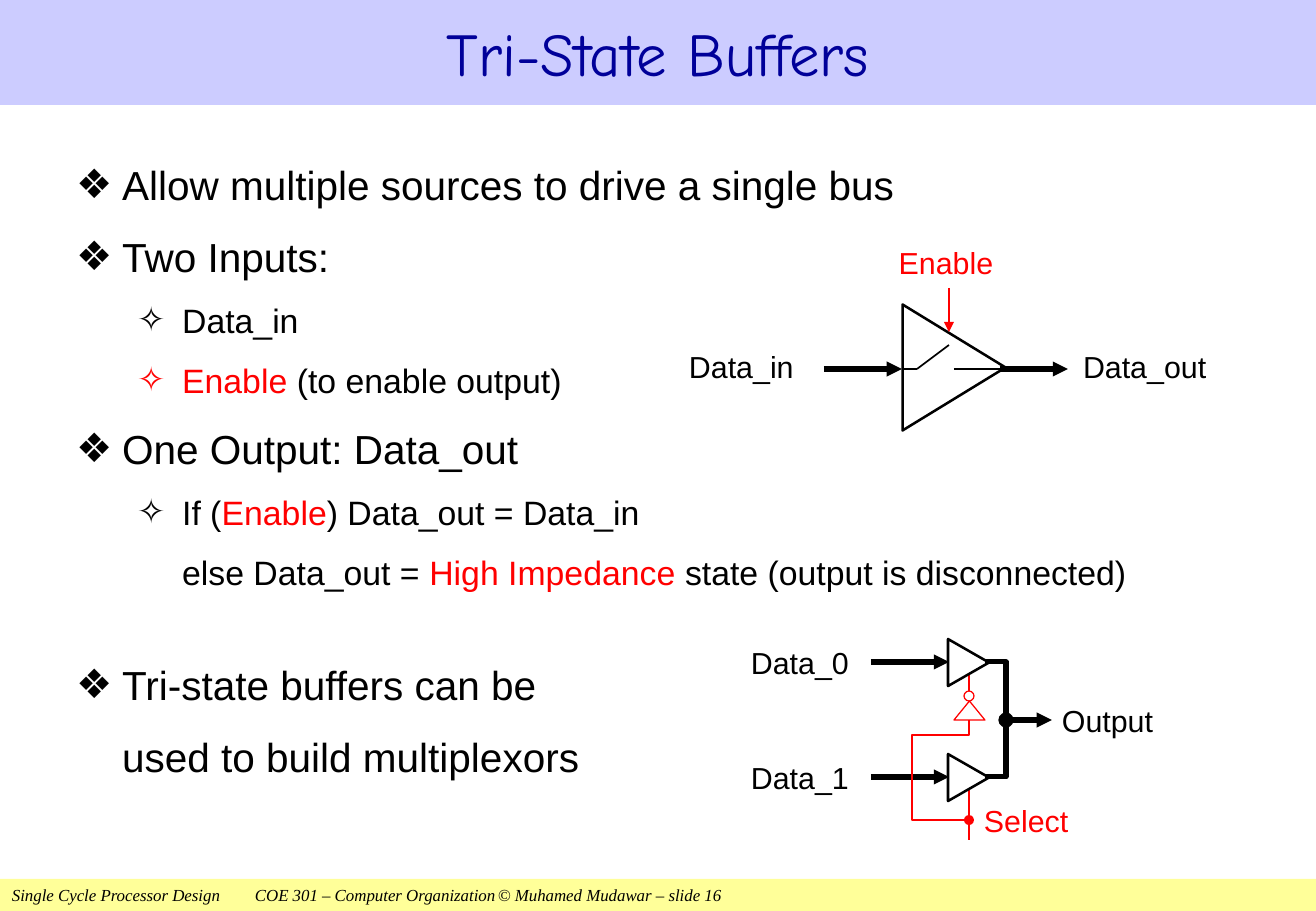
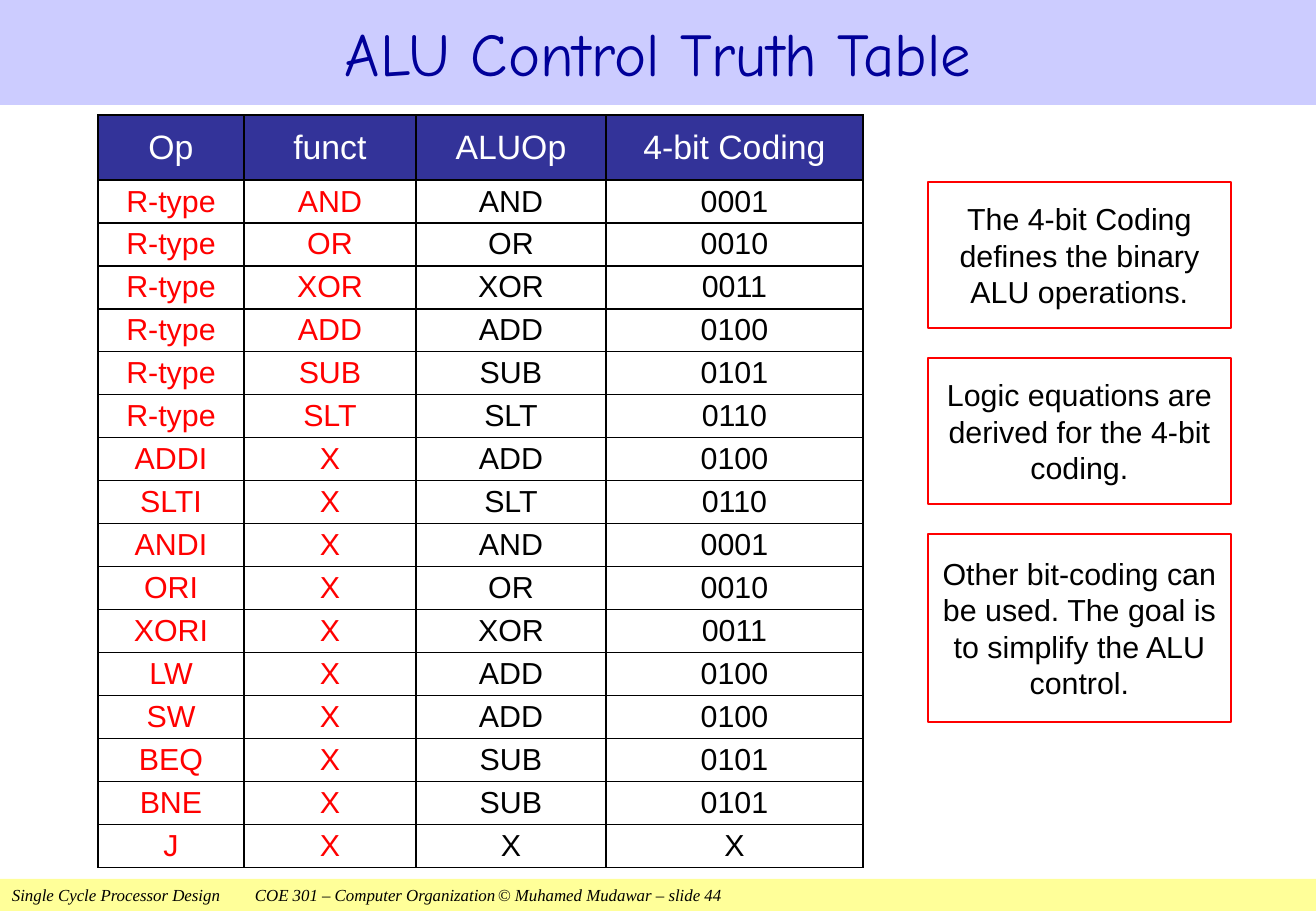
"""Build two processor design slides: tri-state buffers and the ALU control truth table."""
from lxml import etree
from pptx import Presentation
from pptx.dml.color import RGBColor
from pptx.enum.shapes import MSO_CONNECTOR, MSO_SHAPE
from pptx.enum.text import MSO_ANCHOR, MSO_AUTO_SIZE, PP_ALIGN
from pptx.oxml.ns import qn
from pptx.util import Pt

PX = 7526
WIDTH, HEIGHT = 1316, 911
LEFT, CENTER = PP_ALIGN.LEFT, PP_ALIGN.CENTER
MIDDLE, NO_FIT = MSO_ANCHOR.MIDDLE, MSO_AUTO_SIZE.NONE
STRAIGHT = MSO_CONNECTOR.STRAIGHT
RECTANGLE, TRIANGLE, OVAL = MSO_SHAPE.RECTANGLE, MSO_SHAPE.ISOSCELES_TRIANGLE, MSO_SHAPE.OVAL
COLORS = {
    "ink": "000000", "red": "FF0000", "white": "FFFFFF", "navy": "000099",
    "title band": "CCCCFF", "footer band": "FFFF99", "header": "333399",
}
RGB = {name: RGBColor.from_string(value) for name, value in COLORS.items()}


def write(frame, text, size=18, color="ink", font="Arial", italic=False, align=LEFT, first=True):
    """Write one paragraph; parts between asterisks are red."""
    paragraph = frame.paragraphs[0] if first else frame.add_paragraph()
    paragraph.alignment = align
    for position, part in enumerate(text.split("*")):
        if part:
            run = paragraph.add_run()
            run.text = part
            run.font.size, run.font.name, run.font.italic = Pt(size), font, italic
            run.font.color.rgb = RGB["red" if position % 2 else color]
    return paragraph


def stroke(shape, color, width, head=None, tail=None):
    """Outline a shape or connector, with optional line ends and no shadow."""
    shape.line.color.rgb = RGB[color]
    shape.line.width = Pt(width)
    properties = shape._element.spPr
    outline = properties.find(qn("a:ln"))
    for tag, end in (("a:headEnd", head), ("a:tailEnd", tail)):
        if end:
            etree.SubElement(outline, qn(tag), type=end)
    etree.SubElement(properties, qn("a:effectLst"))


deck = Presentation()
deck.slide_width, deck.slide_height = WIDTH * PX, HEIGHT * PX
buffers = deck.slides.add_slide(deck.slide_layouts[1])
truth = deck.slides.add_slide(deck.slide_layouts[5])

for slide, heading, number in (
    (buffers, "Tri-State Buffers", 16),
    (truth, "ALU Control Truth Table", 44),
):
    title = slide.shapes.title
    title.left, title.top, title.width, title.height = 0, 0, WIDTH * PX, 105 * PX
    title.fill.solid()
    title.fill.fore_color.rgb = RGB["title band"]
    title.text_frame.auto_size = NO_FIT
    title.text_frame.vertical_anchor = MIDDLE
    write(title.text_frame, heading, size=36, color="navy", font="Comic Neue", align=CENTER)

    footer = slide.shapes.add_shape(RECTANGLE, 0, 879 * PX, WIDTH * PX, 32 * PX)
    footer.shadow.inherit = False
    footer.fill.solid()
    footer.fill.fore_color.rgb = RGB["footer band"]
    footer.line.fill.background()
    footer.text_frame.vertical_anchor = MIDDLE
    credit = write(
        footer.text_frame,
        "Single Cycle Processor Design\tCOE 301 – Computer Organization\t"
        f"© Muhamed Mudawar – slide {number}",
        size=10, font="Times New Roman", italic=True,
    )
    tabs = etree.SubElement(credit._p.get_or_add_pPr(), qn("a:tabLst"))
    for stop in (243, 486):
        etree.SubElement(tabs, qn("a:tab"), pos=str(stop * PX), algn="l")

points = buffers.placeholders[1]
points.left, points.top, points.width, points.height = 64 * PX, 149 * PX, 1185 * PX, 683 * PX
points.text_frame.auto_size = NO_FIT
LEVELS = ((24, 46, 46, "❖", 11), (20, 106, 45, "✧", 9.2))
for order, (level, bulleted, text) in enumerate((
    (0, True, "Allow multiple sources to drive a single bus"),
    (0, True, "Two Inputs:"),
    (1, True, "Data_in"),
    (1, True, "*Enable *(to enable output)"),
    (0, True, "One Output: Data_out"),
    (1, True, "If (*Enable*) Data_out = Data_in"),
    (1, False, "else Data_out = *High Impedance *state (output is disconnected)"),
    (0, True, "Tri-state buffers can be"),
    (0, False, "used to build multiplexors"),
)):
    size, margin, hanging, bullet, gap = LEVELS[level]
    point = write(points.text_frame, text, size=size, first=order == 0)
    point.level = level
    layout = point._p.get_or_add_pPr()
    layout.set("marL", str(margin * PX))
    layout.set("indent", str(-hanging * PX if bulleted else 0))
    if bulleted:
        etree.SubElement(layout, qn("a:buChar"), char=bullet)
    else:
        etree.SubElement(layout, qn("a:buNone"))
    point.line_spacing = 1.1
    point.space_before = Pt(0 if order == 0 else 37 if text.startswith("Tri") else gap)

for x1, y1, x2, y2 in ((969, 787, 969, 840), (969, 672, 969, 691)):
    wire = buffers.shapes.add_connector(STRAIGHT, x1 * PX, y1 * PX, x2 * PX, y2 * PX)
    stroke(wire, "red", 0.75)

for kind, x, y, width, height, turn, color, weight in (
    (TRIANGLE, 891, 316, 126, 103, 90, "ink", 1.5),
    (TRIANGLE, 945, 642, 47, 41, 90, "ink", 1.5),
    (TRIANGLE, 945, 757, 47, 41, 90, "ink", 1.5),
    (TRIANGLE, 954, 701, 31, 19, 0, "red", 0.75),
    (OVAL, 964, 691, 10, 10, 0, "red", 0.75),
):
    gate = buffers.shapes.add_shape(kind, x * PX, y * PX, width * PX, height * PX)
    gate.rotation = turn
    gate.fill.solid()
    gate.fill.fore_color.rgb = RGB["white"]
    stroke(gate, color, weight)

for x1, y1, x2, y2, color, weight, head, tail in (
    (824, 369, 902, 369, "ink", 3, None, "triangle"),
    (1000, 369, 1068, 369, "ink", 3, None, "triangle"),
    (902, 369, 917, 369, "ink", 1, None, None),
    (917, 369, 949, 345, "ink", 1, None, None),
    (954, 369, 1005, 369, "ink", 1, None, None),
    (949, 288, 949, 332, "red", 0.75, None, "triangle"),
    (871, 662, 949, 662, "ink", 3, None, "triangle"),
    (871, 777, 949, 777, "ink", 3, None, "triangle"),
    (1006, 720, 1052, 720, "ink", 3, "oval", "triangle"),
):
    signal = buffers.shapes.add_connector(STRAIGHT, x1 * PX, y1 * PX, x2 * PX, y2 * PX)
    stroke(signal, color, weight, head=head, tail=tail)

for start, corners, color, weight, tail in (
    ((969, 720), ((969, 735), (912, 735), (912, 820), (969, 820)), "red", 0.75, "oval"),
    ((985, 662), ((1006, 662), (1006, 777), (985, 777)), "ink", 3, None),
):
    route = buffers.shapes.build_freeform(*start, scale=PX)
    route.add_line_segments(corners, close=False)
    bus = route.convert_to_shape()
    bus.fill.background()
    stroke(bus, color, weight, tail=tail)

for text, x, y, width, height, color, align in (
    ("Data_in", 689, 340, 140, 52, "ink", LEFT),
    ("Data_out", 1083, 340, 140, 52, "ink", LEFT),
    ("Enable", 876, 241, 140, 42, "red", CENTER),
    ("Data_0", 751, 639, 119, 47, "ink", LEFT),
    ("Data_1", 751, 754, 119, 47, "ink", LEFT),
    ("Output", 1062, 697, 119, 47, "ink", LEFT),
    ("Select", 984, 797, 119, 47, "red", LEFT),
):
    label = buffers.shapes.add_textbox(x * PX, y * PX, width * PX, height * PX).text_frame
    label.margin_left = label.margin_right = label.margin_top = label.margin_bottom = 0
    label.word_wrap = True
    label.vertical_anchor = MIDDLE
    write(label, text, color=color, align=align)

CODES = {"AND": "0001", "OR": "0010", "XOR": "0011", "ADD": "0100",
         "SUB": "0101", "SLT": "0110", "X": "X"}
IMMEDIATES = (
    ("ADDI", "ADD"), ("SLTI", "SLT"), ("ANDI", "AND"), ("ORI", "OR"), ("XORI", "XOR"),
    ("LW", "ADD"), ("SW", "ADD"), ("BEQ", "SUB"), ("BNE", "SUB"), ("J", "X"),
)
rows = [("Op", "funct", "ALUOp", "4-bit Coding")]
rows += [("R-type", name, name, code) for name, code in CODES.items() if name != "X"]
rows += [(op, "X", name, CODES[name]) for op, name in IMMEDIATES]
column_widths = (146, 172, 190, 257)
row_heights = [65] + [43] * (len(rows) - 1)
coding = truth.shapes.add_table(
    len(rows), len(column_widths), 98 * PX, 115 * PX,
    sum(column_widths) * PX, sum(row_heights) * PX,
).table
for column, width in zip(coding.columns, column_widths):
    column.width = width * PX
for r, (values, height) in enumerate(zip(rows, row_heights)):
    coding.rows[r].height = height * PX
    for c, value in enumerate(values):
        cell = coding.cell(r, c)
        cell.margin_left = cell.margin_right = 4 * PX
        cell.margin_top = cell.margin_bottom = 2 * PX
        cell.vertical_anchor = MIDDLE
        for side in ("a:lnL", "a:lnR", "a:lnT", "a:lnB"):
            border = etree.SubElement(cell._tc.get_or_add_tcPr(), qn(side), w=str(Pt(1)))
            paint = etree.SubElement(border, qn("a:solidFill"))
            etree.SubElement(paint, qn("a:srgbClr"), val=COLORS["ink"])
        if r == 0:
            cell.fill.solid()
            cell.fill.fore_color.rgb = RGB["header"]
            write(cell.text_frame, value, size=20, color="white", align=CENTER)
        else:
            cell.fill.background()
            write(cell.text_frame, value, color="red" if c < 2 else "ink", align=CENTER)

note_top = 182
for text, height in (
    ("The 4-bit Coding defines the binary ALU operations.", 146),
    ("Logic equations are derived for the 4-bit coding.", 146),
    ("Other bit-coding can be used. The goal is to simplify the ALU control.", 188),
):
    note = truth.shapes.add_shape(RECTANGLE, 928 * PX, note_top * PX, 303 * PX, height * PX)
    note.fill.background()
    stroke(note, "red", 1.5)
    note.text_frame.word_wrap = True
    note.text_frame.vertical_anchor = MIDDLE
    write(note.text_frame, text, align=CENTER)
    note_top += height + 30

deck.save("out.pptx")
